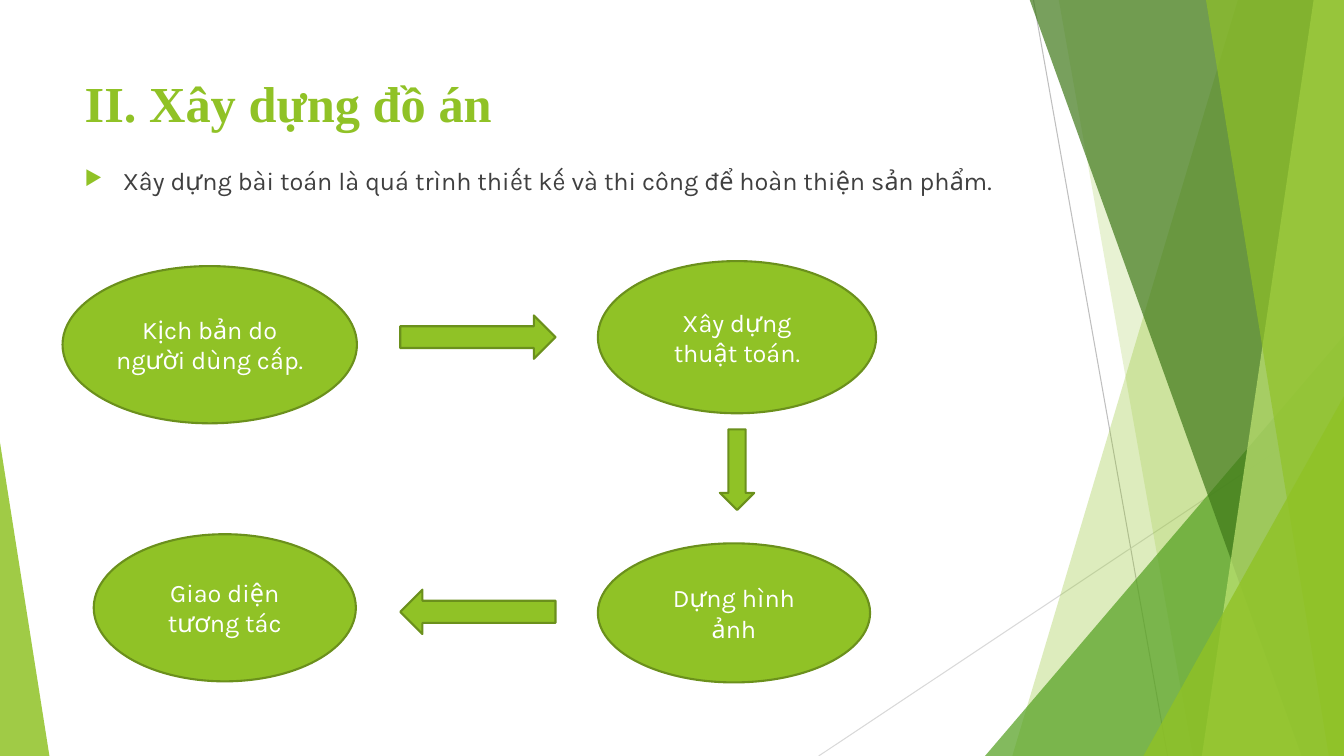
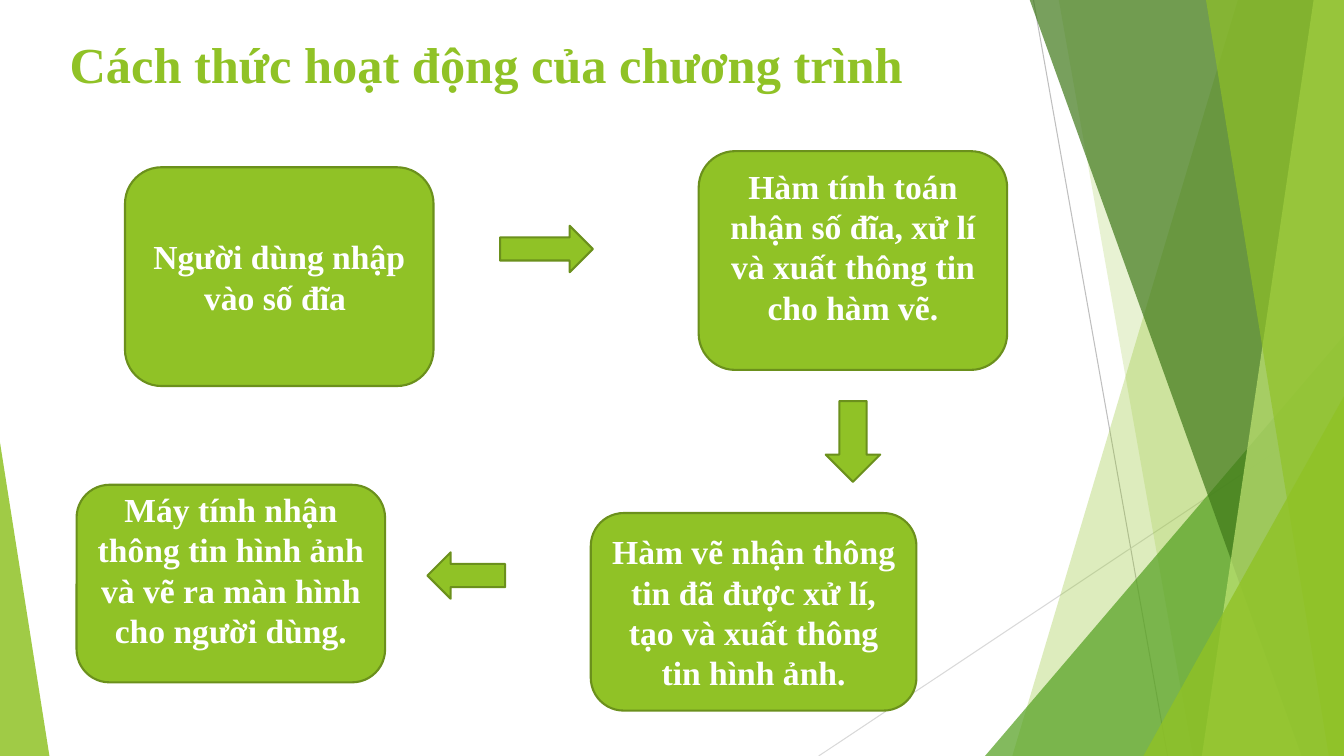
from lxml.etree import SubElement
from pptx import Presentation
from pptx.dml.color import RGBColor
from pptx.enum.shapes import MSO_CONNECTOR, MSO_SHAPE
from pptx.enum.text import MSO_ANCHOR, PP_ALIGN
from pptx.oxml.ns import qn
from pptx.util import Pt

PX = 9144  # EMU in one px, 100 px to the inch
WIDTH, HEIGHT = 1333, 750

COLORS = {
    "green": "90C226", "edge": "6B901C", "grass": "54A021",
    "forest": "3F7819", "lime": "C0E474", "gray": "BFBFBF",
    "pale": "D9D9D9", "ink": "404040", "white": "FFFFFF",
}
TITLE = {"name": "Times New Roman", "size": Pt(36), "bold": True}
LABEL = {"name": "Times New Roman", "size": Pt(24), "bold": True}
BODY = {"name": "Karla", "size": Pt(18), "bold": False}

# Bands: top x, bottom x. Wedges: left, top, width, apex (0 left, 1 right).
DECOR = [
    ("band", (1228, 1004), "green", 30),
    ("band", (1050, 1183), "green", 20),
    ("wedge", (977, 333, 356, 1), "grass", 72),
    ("band", (1021, 1291), "forest", 70),
    ("band", (1303, 1192), "lime", 70),
    ("band", (1196, 1318), "green", 65),
    ("wedge", (1134, 393, 199, 1), "green", 80),
    ("wedge", (0, 439, 49, 0), "green", 85),
]
RULES = [((1025, 0, 1158, 750), "gray"), ((1333, 403, 812, 750), "pale")]

OVALS = [
    ((62, 264, 292, 156), "Kịch bản do người dùng cấp."),
    ((593, 259, 276, 151), "Xây dựng thuật toán."),
    ((93, 530, 260, 146), "Giao diện tương tác"),
    ((593, 539, 270, 138), "Dựng hình ảnh"),
]
# The last number is extra room below the text.
BOXES = [
    ((693, 150, 306, 217),
     "Hàm tính toán nhận số đĩa, xử lí và xuất thông tin cho hàm vẽ.", 28),
    ((586, 509, 323, 196),
     "Hàm vẽ nhận thông tin đã được xử lí, tạo và xuất thông tin hình ảnh.", 0),
    ((124, 166, 306, 217), "Người dùng nhập vào số đĩa ", 0),
    ((76, 481, 306, 196),
     "Máy tính nhận thông tin hình ảnh và vẽ ra màn hình cho người dùng.", 28),
]
ARROWS = {
    "right": MSO_SHAPE.RIGHT_ARROW,
    "down": MSO_SHAPE.DOWN_ARROW,
    "left": MSO_SHAPE.LEFT_ARROW,
}


def emu(*lengths):
    return [length * PX for length in lengths]


def rgb(color):
    return RGBColor.from_string(COLORS[color])


def assign(target, values):
    for name, value in values.items():
        setattr(target, name, value)


def paint(shape, color, alpha=None, edge=None):
    """Fill a shape, with optional opacity in percent and outline."""
    shape.shadow.inherit = False
    shape.fill.solid()
    shape.fill.fore_color.rgb = rgb(color)
    if alpha:
        tone = shape.element.spPr.find(".//" + qn("a:srgbClr"))
        SubElement(tone, qn("a:alpha"), val=str(alpha * 1000))
    if edge:
        shape.line.color.rgb = rgb(edge)
        shape.line.width = Pt(1.5)
    else:
        shape.line.fill.background()


def write(shape, text, font, color, align, anchor):
    frame = shape.text_frame
    assign(frame, {"word_wrap": True, "vertical_anchor": anchor})
    line = frame.paragraphs[0]
    line.alignment = align
    run = line.add_run()
    run.text = text
    assign(run.font, font)
    run.font.color.rgb = rgb(color)
    return line


def add_band(shapes, top, bottom):
    """Outline from a slanted left side to the right edge of the slide."""
    pen = shapes.build_freeform(top, -1, scale=PX)
    pen.add_line_segments([(WIDTH, -1), (WIDTH, HEIGHT), (bottom, HEIGHT)])
    return pen.convert_to_shape()


def add_wedge(shapes, left, top, width, apex):
    """Triangle that stands on the bottom edge of the slide."""
    place = emu(left, top, width, HEIGHT - top)
    wedge = shapes.add_shape(MSO_SHAPE.ISOSCELES_TRIANGLE, *place)
    wedge.adjustments[0] = apex
    return wedge


def add_rule(shapes, ends, color):
    rule = shapes.add_connector(MSO_CONNECTOR.STRAIGHT, *emu(*ends))
    rule.line.color.rgb = rgb(color)
    rule.line.width = Pt(0.75)
    SubElement(rule.element.spPr, qn("a:effectLst"))
    return rule


def dress(layout, slide):
    """Draw the shared decor on a slide and move it to the layout."""
    parts = [add_rule(slide.shapes, *rule) for rule in RULES]
    makers = {"band": add_band, "wedge": add_wedge}
    for kind, place, color, alpha in DECOR:
        part = makers[kind](slide.shapes, *place)
        paint(part, color, alpha)
        parts.append(part)
    for number, part in enumerate(parts, 100):
        part.element.find(".//" + qn("p:cNvPr")).set("id", str(number))
        layout.shapes.element.append(part.element)


def add_title(slide, left, top, text):
    title = slide.shapes.title
    names = ("left", "top", "width", "height")
    assign(title, dict(zip(names, emu(left, top, 940, 144))))
    write(title, text, TITLE, "green", PP_ALIGN.LEFT, MSO_ANCHOR.TOP)


def add_bullet(slide, place, text):
    box = slide.shapes.add_textbox(*emu(*place))
    line = write(box, text, BODY, "ink", PP_ALIGN.LEFT, MSO_ANCHOR.TOP)
    props = line._p.get_or_add_pPr()
    props.set("marL", str(38 * PX))
    props.set("indent", str(-38 * PX))
    tone = SubElement(props, qn("a:buClr"))
    SubElement(tone, qn("a:srgbClr"), val=COLORS["green"])
    SubElement(props, qn("a:buSzPct"), val="80000")
    SubElement(props, qn("a:buChar"), char="▶")


def add_node(slide, kind, place, text, font, room=0):
    node = slide.shapes.add_shape(kind, *emu(*place))
    paint(node, "green", edge="edge")
    write(node, text, font, "white", PP_ALIGN.CENTER, MSO_ANCHOR.MIDDLE)
    node.text_frame.margin_bottom += room * PX


def add_arrow(slide, way, *place):
    arrow = slide.shapes.add_shape(ARROWS[way], *emu(*place))
    paint(arrow, "green", edge="edge")


def build_steps(slide):
    add_title(slide, 74, 67, "II. Xây dựng đồ án")
    add_bullet(slide, (74, 159, 940, 50),
               "Xây dựng bài toán là quá trình thiết kế và thi công "
               "để hoàn thiện sản phẩm.")
    for place, text in OVALS:
        add_node(slide, MSO_SHAPE.OVAL, place, text, BODY)
    add_arrow(slide, "right", 397, 313, 154, 43)
    add_arrow(slide, "down", 714, 426, 34, 80)
    add_arrow(slide, "left", 397, 585, 154, 44)


def build_flow(slide):
    add_title(slide, 59, 28, "Cách thức hoạt động của chương trình")
    for place, text, room in BOXES:
        add_node(slide, MSO_SHAPE.ROUNDED_RECTANGLE, place, text, LABEL, room)
    add_arrow(slide, "right", 496, 224, 92, 46)
    add_arrow(slide, "left", 424, 548, 77, 46)
    add_arrow(slide, "down", 819, 398, 54, 80)


def main():
    deck = Presentation()
    deck.slide_width, deck.slide_height = emu(WIDTH, HEIGHT)
    layout = deck.slide_layouts.get_by_name("Title Only")
    steps, flow = [deck.slides.add_slide(layout) for _ in range(2)]
    dress(layout, steps)
    build_steps(steps)
    build_flow(flow)
    deck.save("out.pptx")


if __name__ == "__main__":
    main()
